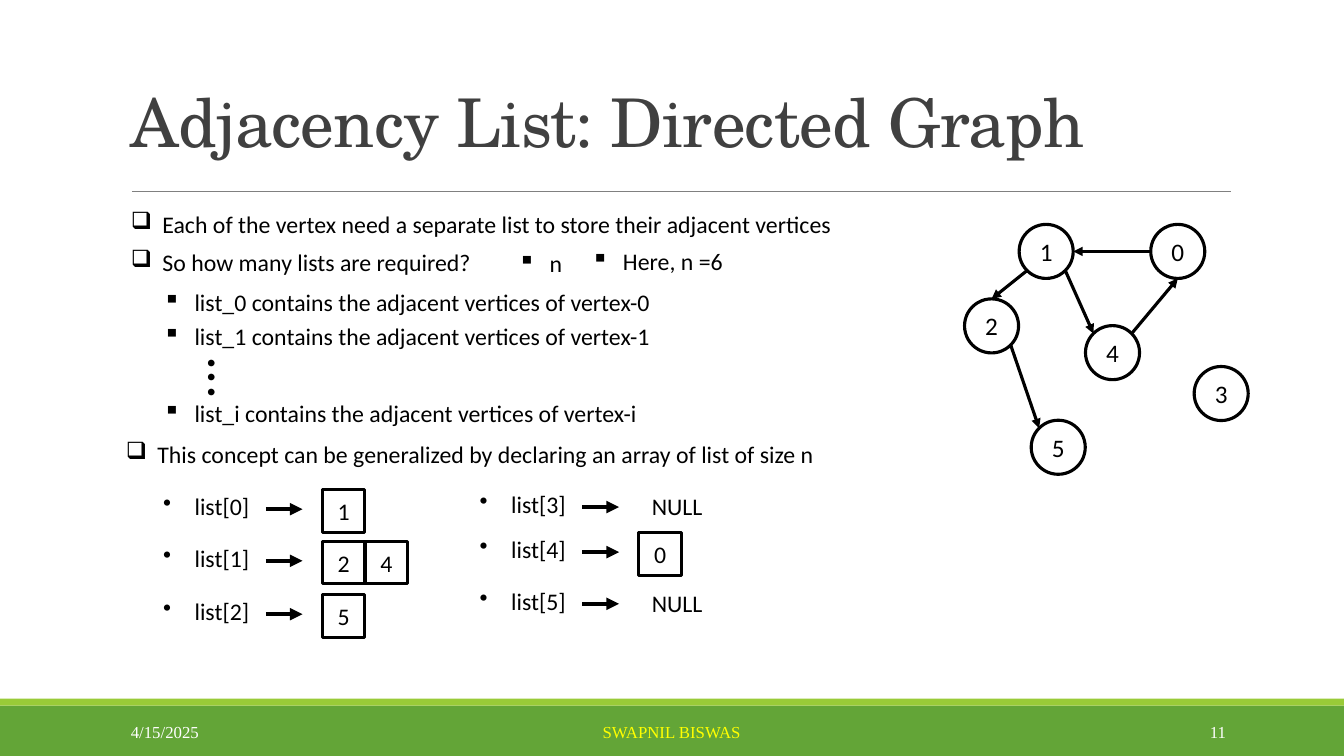
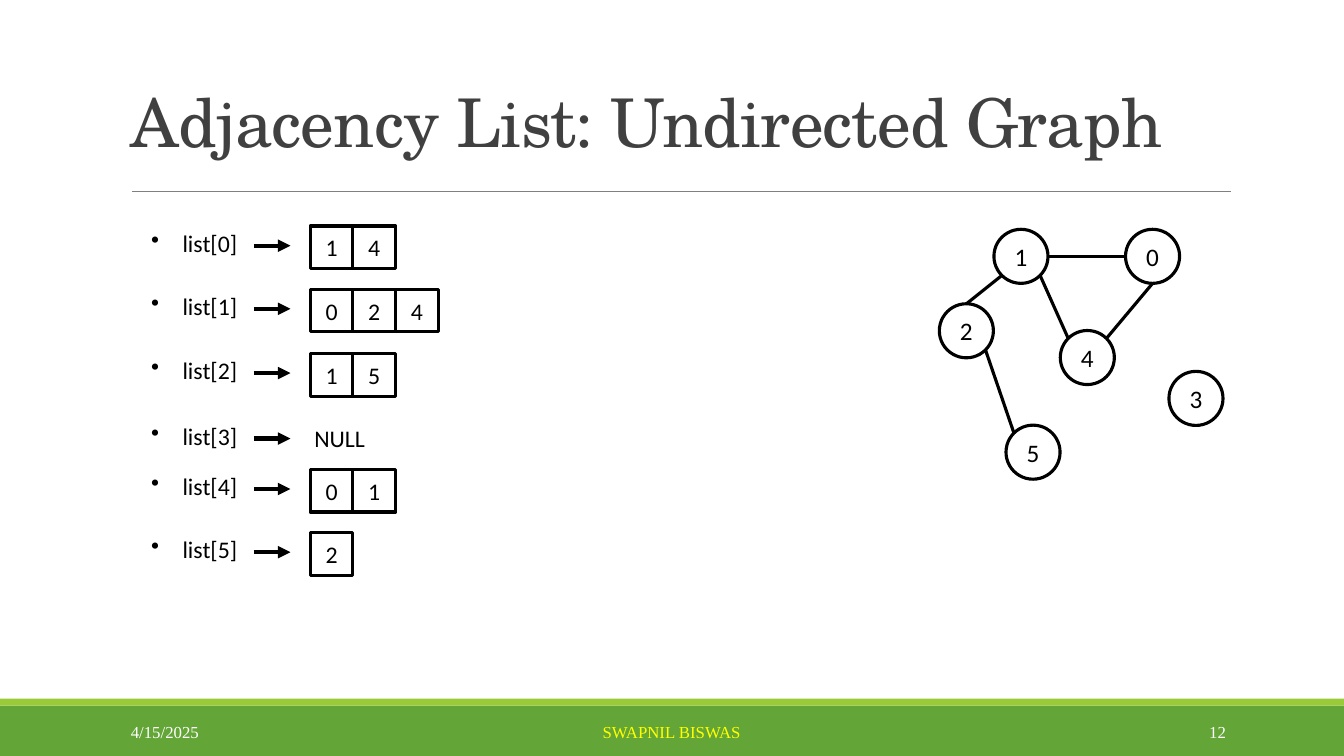
from math import cos, radians, sin

from lxml.etree import SubElement
from pptx import Presentation
from pptx.dml.color import RGBColor
from pptx.enum.shapes import MSO_CONNECTOR, MSO_SHAPE
from pptx.enum.text import MSO_ANCHOR, PP_ALIGN
from pptx.oxml.ns import qn
from pptx.util import Pt

# Shared look
PAGE_WIDTH, PAGE_HEIGHT = 960, 540
INK, TITLE_GRAY, RULE_GRAY = "000000", "404040", "808080"
GREEN, LIME, WHITE, YELLOW = "63A537", "99CB38", "FFFFFF", "FFFF00"
BODY_FONT, TITLE_FONT, FOOTER_FONT = "Calibri", "TeX Gyre Schola", "Times New Roman"
BODY_SIZE, VERTEX_SIZE = 17, 18
SQUARE, DIAMOND, DOT = "❑", "▪", "•"

# Sites on a circle, counted in eighths of a turn from the top, leftwards
TOP, TOP_LEFT, LEFT, BOTTOM_LEFT, BOTTOM, BOTTOM_RIGHT, RIGHT, TOP_RIGHT = range(8)

# Graph: vertex offsets from the corner of the graph, and edges between sites
DIAMETER = 38.6
VERTICES = {
    "0": (133, 0),
    "1": (39, 0),
    "2": (0, 53.2),
    "3": (164, 101.5),
    "4": (86.4, 72.3),
    "5": (47.6, 139.9),
}
EDGES = [
    ("0", LEFT, "1", RIGHT),
    ("1", BOTTOM_LEFT, "2", TOP),
    ("1", BOTTOM_RIGHT, "4", TOP_LEFT),
    ("4", TOP_RIGHT, "0", BOTTOM),
    ("2", BOTTOM_RIGHT, "5", TOP_LEFT),
]
CELL = 30.5


def color(hex_string):
    return RGBColor.from_string(hex_string)


def style_paragraph(para, size, font, ink, bold=False):
    for span in para.runs:
        span.font.size = Pt(size)
        span.font.name = font
        span.font.bold = bold
        span.font.color.rgb = color(ink)


def add_text(page, left, top, width, height, text, size=BODY_SIZE, font=BODY_FONT,
             ink=INK, bold=False, anchor=MSO_ANCHOR.TOP, align=PP_ALIGN.LEFT):
    box = page.shapes.add_textbox(Pt(left), Pt(top), Pt(width), Pt(height))
    frame = box.text_frame
    frame.word_wrap = True
    frame.vertical_anchor = anchor
    frame.text = text
    para = frame.paragraphs[0]
    para.alignment = align
    style_paragraph(para, size, font, ink, bold)
    return para


def add_bullet(page, left, top, width, mark, text):
    para = add_text(page, left, top, width, 28, text)
    properties = para._p.get_or_add_pPr()
    properties.set("marL", str(Pt(22.5)))
    properties.set("indent", str(-Pt(22.5)))
    SubElement(properties, qn("a:buChar")).set("char", mark)


def add_band(page, top, height, fill):
    band = page.shapes.add_shape(
        MSO_SHAPE.RECTANGLE, 0, Pt(top), Pt(PAGE_WIDTH), Pt(height))
    band.shadow.inherit = False
    band.fill.solid()
    band.fill.fore_color.rgb = color(fill)
    band.line.fill.background()


def add_outlined(page, preset, left, top, side, text, size):
    shape = page.shapes.add_shape(preset, Pt(left), Pt(top), Pt(side), Pt(side))
    shape.shadow.inherit = False
    shape.fill.background()
    shape.line.color.rgb = color(INK)
    shape.line.width = Pt(2.25)
    frame = shape.text_frame
    frame.margin_left = frame.margin_right = frame.margin_top = frame.margin_bottom = 0
    frame.vertical_anchor = MSO_ANCHOR.MIDDLE
    frame.text = text
    para = frame.paragraphs[0]
    para.alignment = PP_ALIGN.CENTER
    style_paragraph(para, size, BODY_FONT, INK)


def add_line(page, start, end, width, ink=INK, arrow=False):
    line = page.shapes.add_connector(
        MSO_CONNECTOR.STRAIGHT, *(Pt(value) for value in (*start, *end)))
    line.line.color.rgb = color(ink)
    line.line.width = Pt(width)
    properties = line._element.spPr
    if arrow:
        SubElement(properties.find(qn("a:ln")), qn("a:tailEnd")).set("type", "triangle")
    SubElement(properties, qn("a:effectLst"))


def add_page(deck, title, number):
    page = deck.slides.add_slide(deck.slide_layouts[6])
    # Footer bands
    add_band(page, 504, 36, GREEN)
    add_band(page, 499, 5, LIME)
    # Title and rule
    add_line(page, (94.3, 136.8), (879, 136.8), 0.5, RULE_GRAY)
    para = add_text(page, 86.4, 4.3, 792, 114.5, title, 48, TITLE_FONT, TITLE_GRAY,
                    anchor=MSO_ANCHOR.BOTTOM)
    para.line_spacing = 0.85
    para.runs[0].font._element.set("spc", "-50")
    # Footer texts
    for left, width, text, ink, align in (
        (86.4, 194.4, "4/15/2025", WHITE, PP_ALIGN.LEFT),
        (290, 379.5, "SWAPNIL BISWAS", YELLOW, PP_ALIGN.CENTER),
        (779.8, 103, number, WHITE, PP_ALIGN.RIGHT),
    ):
        add_text(page, left, 508.5, width, 28.8, text, 12, FOOTER_FONT, ink,
                 anchor=MSO_ANCHOR.MIDDLE, align=align)
    return page


def add_graph(page, left, top, directed):
    radius = DIAMETER / 2

    def site_point(vertex, site):
        x, y = VERTICES[vertex]
        angle = radians(-90 - 45 * site)
        return (left + x + radius * (1 + cos(angle)),
                top + y + radius * (1 + sin(angle)))

    for vertex, (x, y) in VERTICES.items():
        add_outlined(page, MSO_SHAPE.OVAL, left + x, top + y, DIAMETER, vertex, VERTEX_SIZE)
    for source, source_site, target, target_site in EDGES:
        add_line(page, site_point(source, source_site), site_point(target, target_site),
                 2.25, arrow=directed)


def add_lists(page, left, rows, null_offset):
    """Each row is (top, label, values); an empty list shows NULL."""
    for top, label, values in rows:
        add_bullet(page, left, top, 84, DOT, label)
        arrow_y = top + 15.9
        add_line(page, (left + 80.5, arrow_y), (left + 106.7, arrow_y), 3, arrow=True)
        if not values:
            add_text(page, left + null_offset, top + 1.4, 70, 28, "NULL")
        for column, value in enumerate(values):
            add_outlined(page, MSO_SHAPE.RECTANGLE, left + 120.8 + column * CELL,
                         top + 1.9, CELL, value, BODY_SIZE)


def build_directed(deck):
    page = add_page(deck, "Adjacency List: Directed Graph", "11")
    # Explanation
    for left, top, width, mark, text in (
        (86.4, 146, 560, SQUARE,
         "Each of the vertex need a separate list to store their adjacent vertices"),
        (86.4, 173.5, 276, SQUARE, "So how many lists are required?"),
        (363, 173.8, 50, DIAMOND, "n"),
        (415.4, 172.8, 120, DIAMOND, "Here, n =6"),
        (109.4, 201.8, 410, DIAMOND, "list_0 contains the adjacent vertices of vertex-0"),
        (109.4, 226, 410, DIAMOND, "list_1 contains the adjacent vertices of vertex-1"),
        (109.4, 281.3, 410, DIAMOND, "list_i contains the adjacent vertices of vertex-i"),
        (82.8, 310.3, 560, SQUARE,
         "This concept can be generalized by declaring an array of list of size n"),
    ):
        add_bullet(page, left, top, width, mark, text)
    # Vertical ellipsis
    for step in range(3):
        add_text(page, 139.7, 226 + step * 10.4, 24, 46, ".", 32, bold=True)
    # Graph and its lists
    add_graph(page, 689, 160.3, directed=True)
    add_lists(page, 109.4, [
        (347.8, "list[0]", "1"),
        (384.7, "list[1]", "24"),
        (422.8, "list[2]", "5"),
    ], 123)
    add_lists(page, 335.5, [
        (346.3, "list[3]", ""),
        (378.5, "list[4]", "0"),
        (415.4, "list[5]", ""),
    ], 123)


def build_undirected(deck):
    page = add_page(deck, "Adjacency List: Undirected Graph", "12")
    add_graph(page, 671, 163.8, directed=False)
    add_lists(page, 100.8, [
        (159.6, "list[0]", "14"),
        (204.7, "list[1]", "024"),
        (250.6, "list[2]", "15"),
        (297.4, "list[3]", ""),
        (333.4, "list[4]", "01"),
        (378.5, "list[5]", "2"),
    ], 116.6)


def main():
    deck = Presentation()
    deck.slide_width, deck.slide_height = Pt(PAGE_WIDTH), Pt(PAGE_HEIGHT)
    build_directed(deck)
    build_undirected(deck)
    deck.save("out.pptx")


if __name__ == "__main__":
    main()
